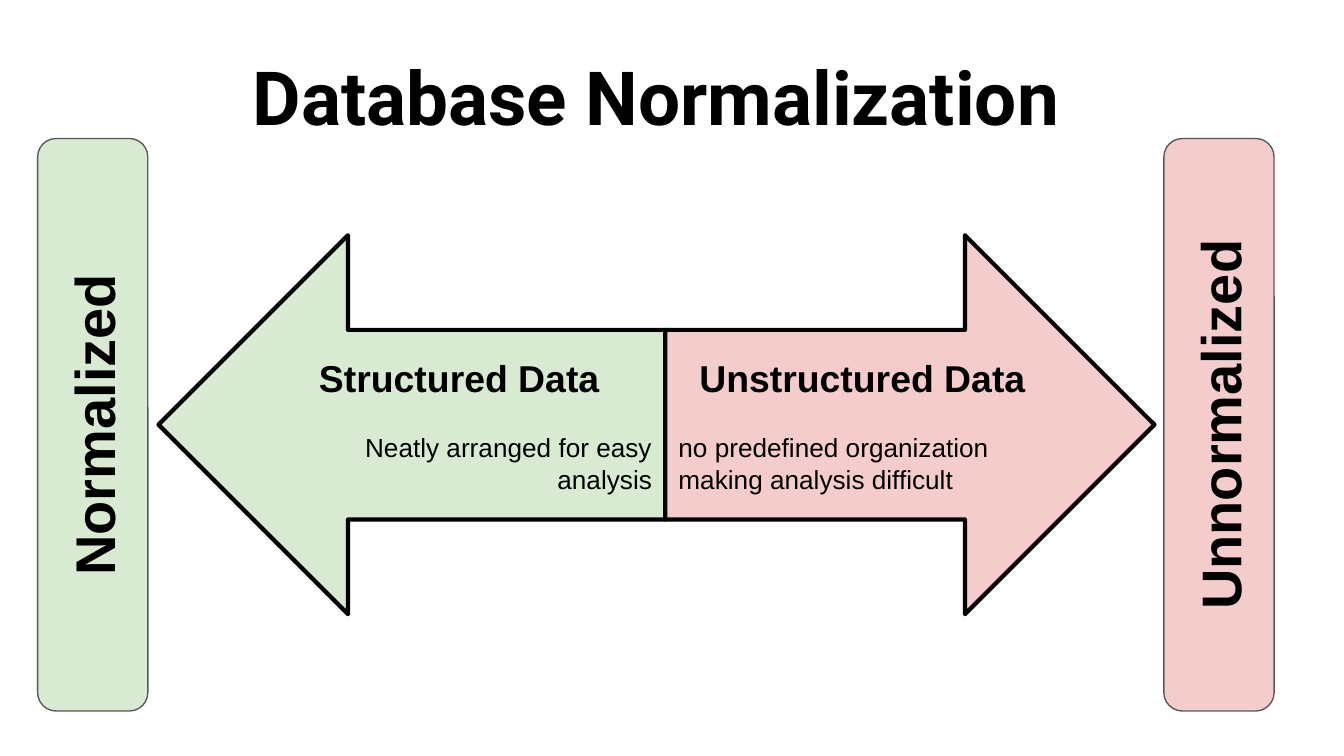
from pptx import Presentation
from pptx.dml.color import RGBColor
from pptx.enum.shapes import MSO_SHAPE
from pptx.enum.text import MSO_ANCHOR, PP_ALIGN
from pptx.util import Inches, Pt

BLACK = RGBColor(0x00, 0x00, 0x00)
GRAY = RGBColor(0x59, 0x59, 0x59)
GREEN = RGBColor(0xD9, 0xEA, 0xD3)
PINK = RGBColor(0xF4, 0xCC, 0xCC)


class SlideBuilder:
    body_font = "Arial"
    title_font = "Roboto"
    inset = Inches(0.1)

    def __init__(self, slide):
        self.slide = slide

    def _frame(self, shape, anchor):
        frame = shape.text_frame
        frame.word_wrap = True
        frame.vertical_anchor = anchor
        frame.margin_left = frame.margin_right = self.inset
        frame.margin_top = frame.margin_bottom = self.inset
        return frame

    def _write(self, paragraph, text, size, bold=True, align=PP_ALIGN.CENTER, font=body_font):
        paragraph.text = text
        paragraph.alignment = align
        paragraph.font.name = font
        paragraph.font.size = Pt(size)
        paragraph.font.bold = bold
        paragraph.font.color.rgb = BLACK

    def _shape(self, preset, left, top, width, height, fill, line, weight):
        shape = self.slide.shapes.add_shape(
            preset, Inches(left), Inches(top), Inches(width), Inches(height))
        shape.shadow.inherit = False
        shape.fill.solid()
        shape.fill.fore_color.rgb = fill
        shape.line.color.rgb = line
        shape.line.width = Pt(weight)
        return shape

    def title(self, text):
        box = self.slide.shapes.add_textbox(
            Inches(0.28), Inches(0.28), Inches(9.2), Inches(0.88))
        frame = self._frame(box, MSO_ANCHOR.TOP)
        self._write(frame.paragraphs[0], text, 40, font=self.title_font)

    def arrow(self, preset, left, width, fill, heading, detail, detail_align):
        arrow = self._shape(preset, left, 1.75, width, 2.82, fill, BLACK, 2.25)
        frame = self._frame(arrow, MSO_ANCHOR.MIDDLE)
        self._write(frame.paragraphs[0], heading, 20)
        description = frame.add_paragraph()
        description.space_before = Pt(17)
        self._write(description, detail, 14, bold=False, align=detail_align)

    def side_label(self, left, fill, text):
        label = self._shape(MSO_SHAPE.ROUNDED_RECTANGLE, left, 2.75, 4.26, 0.82,
                            fill, GRAY, 0.75)
        label.rotation = 270
        frame = self._frame(label, MSO_ANCHOR.MIDDLE)
        self._write(frame.paragraphs[0], text, 30)


def main():
    presentation = Presentation()
    # Widescreen, 16:9
    presentation.slide_width = Inches(10)
    presentation.slide_height = Inches(10 * 9 / 16)
    builder = SlideBuilder(presentation.slides.add_slide(presentation.slide_layouts[6]))

    # Opposing arrows that meet at the centre
    builder.arrow(MSO_SHAPE.LEFT_ARROW, 1.18, 3.77, GREEN, "Structured Data",
                  "Neatly arranged for easy analysis", PP_ALIGN.RIGHT)
    builder.arrow(MSO_SHAPE.RIGHT_ARROW, 4.95, 3.64, PINK, "Unstructured Data",
                  "no predefined organization making analysis difficult", PP_ALIGN.LEFT)

    # Upright labels at both ends
    builder.side_label(-1.44, GREEN, "Normalized")
    builder.side_label(6.94, PINK, "Unnormalized")

    # Title
    builder.title("Database Normalization")

    presentation.save("out.pptx")


if __name__ == "__main__":
    main()
